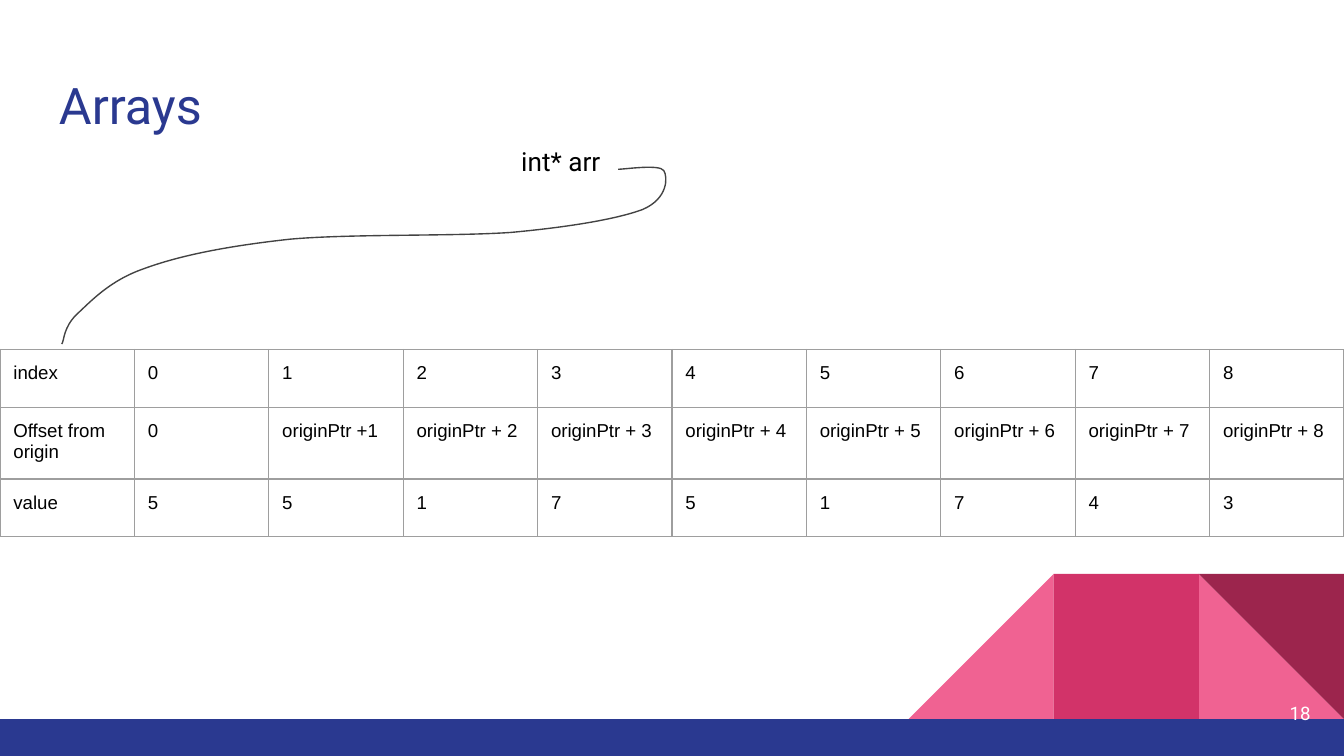
from lxml import etree
from pptx import Presentation
from pptx.dml.color import RGBColor
from pptx.enum.shapes import MSO_SHAPE
from pptx.enum.text import MSO_ANCHOR, PP_ALIGN
from pptx.oxml.ns import qn
from pptx.util import Inches, Pt

RECTANGLE = MSO_SHAPE.RECTANGLE
TRIANGLE = MSO_SHAPE.RIGHT_TRIANGLE
TOP, MIDDLE = MSO_ANCHOR.TOP, MSO_ANCHOR.MIDDLE
LEFT, RIGHT = PP_ALIGN.LEFT, PP_ALIGN.RIGHT

COLORS = {
    "navy": "2A3990",
    "pink": "F06292",
    "rose": "D23369",
    "wine": "9C254D",
    "grid": "9E9E9E",
    "curve": "434343",
    "black": "000000",
    "white": "FFFFFF",
}
INSET = 0.1
WIDTH = 10
HEIGHT = WIDTH * 9 / 16

VALUES = [5, 5, 1, 7, 5, 1, 7, 4, 3]
ROWS = [
    ["index", *map(str, range(len(VALUES)))],
    ["Offset from origin", "0", "originPtr +1",
     *(f"originPtr + {index}" for index in range(2, len(VALUES)))],
    ["value", *map(str, VALUES)],
]
ROW_HEIGHTS = [0.43, 0.48, 0.43]

# Start point, then three points for each Bezier segment, from the curve's box
CURVE = [
    (4.14, 0.01),
    (4.19, 0.01), (4.45, -0.03), (4.48, 0.02),
    (4.51, 0.07), (4.51, 0.23), (4.32, 0.31),
    (4.13, 0.38), (3.78, 0.44), (3.34, 0.48),
    (2.90, 0.51), (2.15, 0.49), (1.70, 0.53),
    (1.24, 0.58), (0.88, 0.65), (0.61, 0.75),
    (0.35, 0.84), (0.21, 1.00), (0.11, 1.09),
    (0.01, 1.19), (0.02, 1.28), (0.00, 1.31),
]


def color(name):
    return RGBColor.from_string(COLORS[name])


def style_text(frame, text, size, font, shade, align=LEFT):
    frame.text = text
    para = frame.paragraphs[0]
    para.alignment = align
    span = para.runs[0]
    span.font.size = Pt(size)
    span.font.name = font
    span.font.color.rgb = color(shade)


def add_text(page, box, text, size, shade, align=LEFT, anchor=TOP):
    frame = page.shapes.add_textbox(*map(Inches, box)).text_frame
    frame.word_wrap = True
    frame.vertical_anchor = anchor
    frame.margin_left = frame.margin_right = Inches(INSET)
    frame.margin_top = frame.margin_bottom = Inches(INSET)
    style_text(frame, text, size, "Roboto", shade, align)


def add_footer(page, left, top, side, bar_height):
    """Place a row of square tiles with the full-width bar below it."""
    group = page.shapes.add_group_shape()
    middle, right = left + side, left + 2 * side
    bottom = top + side
    parts = [
        (TRIANGLE, right, top, side, side, 0, "pink"),
        (TRIANGLE, left, top, side, side, 270, "pink"),
        (RECTANGLE, middle, top, side, side, 0, "rose"),
        (TRIANGLE, right, top, side, side, 180, "wine"),
        (RECTANGLE, 0, bottom, WIDTH, bar_height, 0, "navy"),
    ]
    for kind, *box, turn, shade in parts:
        shape = group.shapes.add_shape(kind, *map(Inches, box))
        shape.rotation = turn
        shape.shadow.inherit = False
        shape.fill.solid()
        shape.fill.fore_color.rgb = color(shade)
        shape.line.fill.background()


def add_borders(cell):
    properties = cell._tc.get_or_add_tcPr()
    for position, side in enumerate(("lnL", "lnR", "lnT", "lnB")):
        line = etree.Element(qn(f"a:{side}"), w=str(Pt(0.75)))
        fill = etree.SubElement(line, qn("a:solidFill"))
        etree.SubElement(fill, qn("a:srgbClr"), val=COLORS["grid"])
        properties.insert(position, line)


def add_array_table(page, left, top, width):
    box = map(Inches, (left, top, width, sum(ROW_HEIGHTS)))
    table = page.shapes.add_table(len(ROWS), len(ROWS[0]), *box).table
    table.first_row = table.horz_banding = False
    for column in table.columns:
        column.width = Inches(width / len(ROWS[0]))
    for row, row_height, texts in zip(table.rows, ROW_HEIGHTS, ROWS):
        row.height = Inches(row_height)
        for cell, text in zip(row.cells, texts):
            cell.fill.background()
            cell.margin_left = cell.margin_right = Inches(INSET)
            cell.margin_top = cell.margin_bottom = Inches(INSET)
            style_text(cell.text_frame, text, 10, "Arial", "black")
            add_borders(cell)


def add_pointer_curve(page, left, top):
    """Draw the control points as lines, then turn each three into a Bezier."""
    points = [(Inches(left + x), Inches(top + y)) for x, y in CURVE]
    builder = page.shapes.build_freeform(*points[0])
    builder.add_line_segments(points[1:], close=False)
    curve = builder.convert_to_shape()
    lines = list(curve._element.iter(qn("a:lnTo")))
    for start in range(0, len(lines), 3):
        bezier = etree.Element(qn("a:cubicBezTo"))
        lines[start].addprevious(bezier)
        for line in lines[start:start + 3]:
            bezier.append(line[0])
            line.getparent().remove(line)
    curve.shadow.inherit = False
    curve.fill.background()
    curve.line.color.rgb = color("curve")
    curve.line.width = Pt(0.75)


def main():
    deck = Presentation()
    deck.slide_width, deck.slide_height = Inches(WIDTH), Inches(HEIGHT)
    page = deck.slides.add_slide(deck.slide_layouts[6])
    add_footer(page, 6.76, 4.27, 1.08, 0.28)
    add_text(page, (0.34, 0.45, 9.32, 0.66), "Arrays", 27, "navy")
    add_text(page, (9.25, 5.09, 0.6, 0.43), "18", 10, "white", RIGHT, MIDDLE)
    add_array_table(page, 0, 2.6, WIDTH)
    add_text(page, (3.78, 0.98, 0.82, 0.44), "int* arr", 14, "black")
    add_pointer_curve(page, 0.46, 1.25)
    deck.save("out.pptx")


if __name__ == "__main__":
    main()
